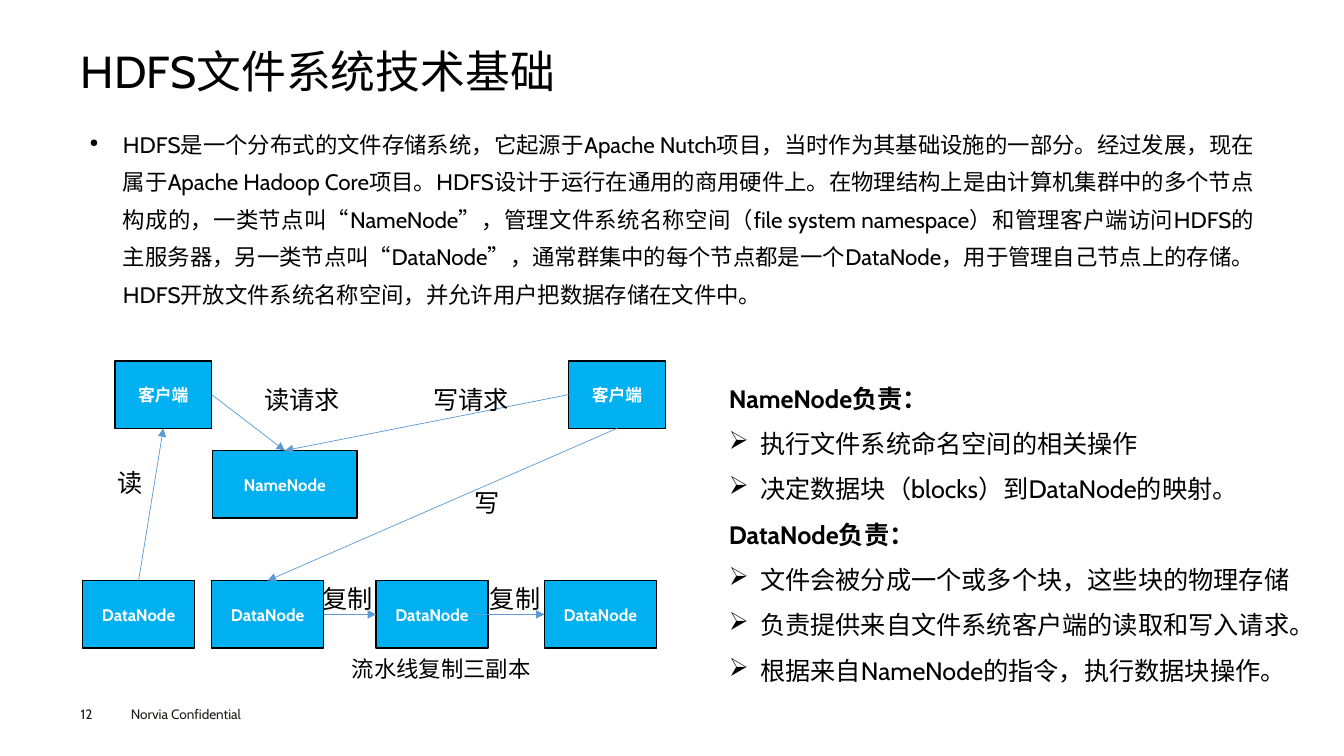
from lxml import etree
from pptx import Presentation, util as u
from pptx.dml.color import RGBColor
from pptx.enum import shapes, text as t
from pptx.oxml.ns import qn

FONT = "Cabin"
COLORS = {"ink": "000000", "footer": "1D1D1B", "node": "00B0F0",
          "white": "FFFFFF", "arrow": "5B9BD5"}
TOP, LEFT, BOTTOM, RIGHT = range(4)  # connection sites of a rectangle

INTRO = (
    "HDFS是一个分布式的文件存储系统，它起源于Apache Nutch项目，当时作为其基础设施的一部分。"
    "经过发展，现在属于Apache Hadoop Core项目。HDFS设计于运行在通用的商用硬件上。"
    "在物理结构上是由计算机集群中的多个节点构成的，一类节点叫“NameNode”，"
    "管理文件系统名称空间（file system namespace）和管理客户端访问HDFS的主服务器，"
    "另一类节点叫“DataNode”，通常群集中的每个节点都是一个DataNode，用于管理自己节点上的存储。"
    "HDFS开放文件系统名称空间，并允许用户把数据存储在文件中。"
)
DUTIES = {
    "NameNode负责：": [
        "执行文件系统命名空间的相关操作",
        "决定数据块（blocks）到DataNode的映射。",
    ],
    "DataNode负责：": [
        "文件会被分成一个或多个块，这些块的物理存储",
        "负责提供来自文件系统客户端的读取和写入请求。",
        "根据来自NameNode的指令，执行数据块操作。",
    ],
}


def color(name):
    return RGBColor.from_string(COLORS[name])


def add_bullet(para, char, indent, percent=100):
    props = para._p.get_or_add_pPr()
    props.set("marL", str(u.Inches(indent)))
    props.set("indent", str(-u.Inches(indent)))
    etree.SubElement(props, qn("a:buSzPct"), val=str(percent * 1000))
    etree.SubElement(props, qn("a:buChar"), char=char)


def write(para, text, size=18, ink="ink", bold=False, align=None, spacing=None,
          bullet=None, indent=0.31, bullet_size=100):
    if bullet:
        add_bullet(para, bullet, indent, bullet_size)
    if align is not None:
        para.alignment = align
    if spacing:
        para.line_spacing = spacing
    span = para.add_run()
    span.text = text
    span.font.name = FONT
    span.font.size = u.Pt(size)
    span.font.bold = bold
    span.font.color.rgb = color(ink)


def add_frame(page, left, top, width, height, insets=(0, 0), wrap=True, grow=False):
    box = page.shapes.add_textbox(*map(u.Inches, (left, top, width, height)))
    frame = box.text_frame
    frame.margin_left = frame.margin_right = u.Inches(insets[0])
    frame.margin_top = frame.margin_bottom = u.Inches(insets[1])
    frame.word_wrap = wrap
    frame.auto_size = (t.MSO_AUTO_SIZE.SHAPE_TO_FIT_TEXT if grow
                       else t.MSO_AUTO_SIZE.NONE)
    return frame


def add_label(page, text, left, top, width, height=0.3, size=18):
    frame = add_frame(page, left, top, width, height, wrap=False, grow=True)
    write(frame.paragraphs[0], text, size=size)


def add_node(page, text, left, top, width):
    node = page.shapes.add_shape(shapes.MSO_SHAPE.RECTANGLE,
                                 *map(u.Inches, (left, top, width, 0.67)))
    node.shadow.inherit = False
    node.fill.solid()
    node.fill.fore_color.rgb = color("node")
    node.line.color.rgb = color("ink")
    node.line.width = u.Pt(1)
    node.text_frame.vertical_anchor = t.MSO_ANCHOR.MIDDLE
    write(node.text_frame.paragraphs[0], text, size=12, ink="white", bold=True,
          align=t.PP_ALIGN.CENTER)
    return node


def add_arrow(page, source, source_site, target, target_site):
    arrow = page.shapes.add_connector(shapes.MSO_CONNECTOR.STRAIGHT, 0, 0, 0, 0)
    arrow.begin_connect(source, source_site)
    arrow.end_connect(target, target_site)
    arrow.line.color.rgb = color("arrow")
    arrow.line.width = u.Pt(0.5)
    etree.SubElement(arrow.line._get_or_add_ln(), qn("a:tailEnd"), type="triangle")
    etree.SubElement(arrow._element.spPr, qn("a:effectLst"))
    return arrow


def add_duties(page):
    frame = add_frame(page, 7.13, 3.6, 6.66, 3.28, insets=(0.1, 0.05), grow=True)
    para = frame.paragraphs[0]
    for heading, duties in DUTIES.items():
        if para is None:
            para = frame.add_paragraph()
        write(para, heading, bold=True, spacing=1.5)
        for duty in duties:
            write(frame.add_paragraph(), duty, spacing=1.5, bullet="➢")
        para = None


def add_diagram(page):
    # Nodes
    reader, writer = [add_node(page, "客户端", left, 3.58, 0.96)
                      for left in (1.14, 5.64)]
    name_node = add_node(page, "NameNode", 2.11, 4.47, 1.43)
    read_node, first, second, third = [add_node(page, "DataNode", left, 5.76, 1.11)
                                       for left in (0.82, 2.1, 3.73, 5.4)]

    # Requests, reads, writes and replication
    add_arrow(page, reader, RIGHT, name_node, TOP)
    add_arrow(page, read_node, TOP, reader, BOTTOM)
    add_arrow(page, writer, LEFT, name_node, TOP)
    add_arrow(page, writer, BOTTOM, first, TOP)
    add_arrow(page, first, RIGHT, second, LEFT)
    last_copy = add_arrow(page, second, RIGHT, third, LEFT)
    last_copy.begin_x = u.Inches(4.68)

    # Labels
    for text, left, top, width in [
        ("读请求", 2.62, 3.81, 0.76), ("写请求", 4.3, 3.81, 0.76),
        ("读", 1.17, 4.64, 0.25), ("写", 4.71, 4.83, 0.25),
        ("复制", 3.2, 5.79, 0.5), ("复制", 4.86, 5.79, 0.5),
    ]:
        add_label(page, text, left, top, width)
    add_label(page, "流水线复制三副本", 3.49, 6.5, 1.79, height=0.27, size=16)


def main():
    deck = Presentation()
    deck.slide_width, deck.slide_height = u.Inches(13.33), u.Inches(7.5)
    page = deck.slides.add_slide(deck.slide_layouts[6])

    # Footer
    owner = add_frame(page, 1.2, 6.95, 1.6, 0.27, insets=(0.1, 0.05), grow=True)
    write(owner.paragraphs[0], "Norvia Confidential", size=9.7, ink="footer")
    number = add_frame(page, 0.8, 7, 0.55, 0.16, grow=True)
    write(number.paragraphs[0], "12", size=9.7, ink="footer")

    # Title and introduction
    title = add_frame(page, 0.8, 0.49, 11.73, 0.53)
    write(title.paragraphs[0], "HDFS文件系统技术基础", size=32, spacing=0.9)
    intro = add_frame(page, 0.8, 1.15, 11.73, 5.34, insets=(0.09, 0.04))
    write(intro.paragraphs[0], INTRO, size=16, align=t.PP_ALIGN.JUSTIFY,
          spacing=1.4, bullet="●", indent=0.33, bullet_size=50)

    add_duties(page)
    add_diagram(page)
    deck.save("out.pptx")


if __name__ == "__main__":
    main()
